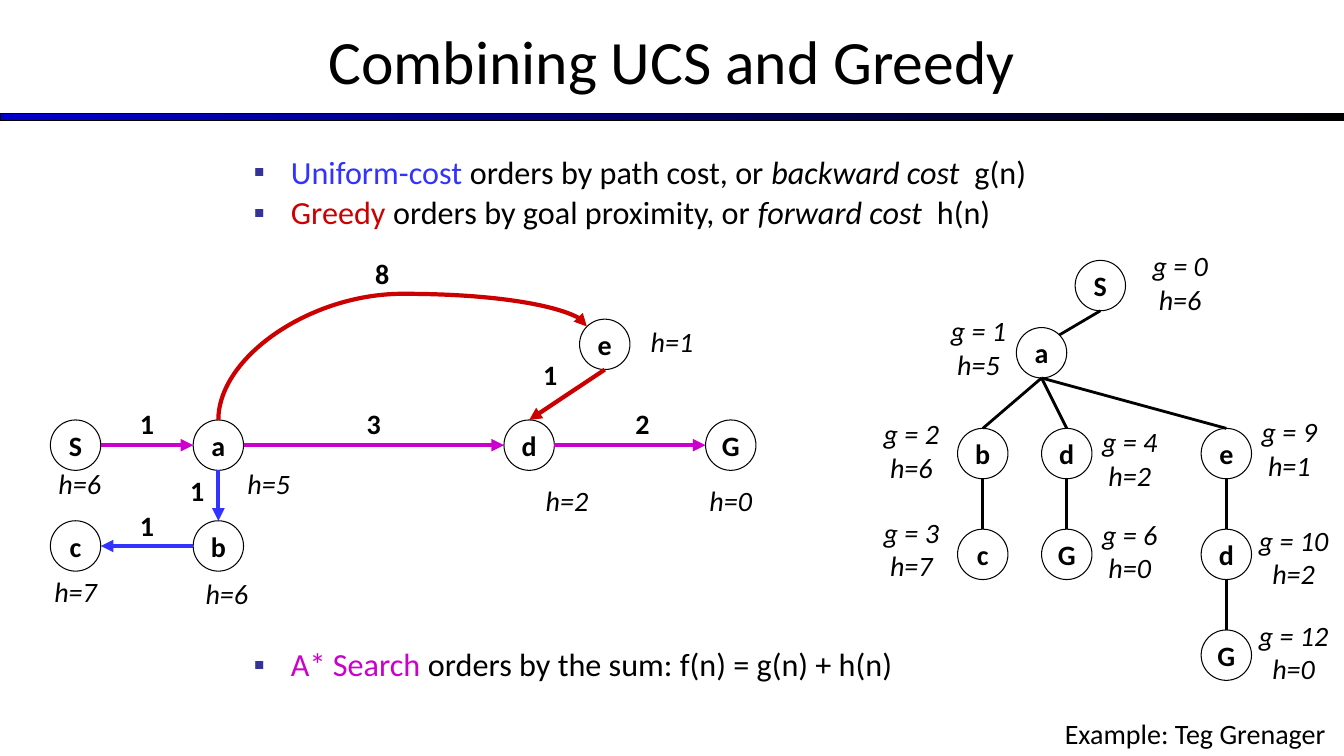
from dataclasses import dataclass

from lxml import etree
from pptx import Presentation
from pptx import util as u
from pptx.dml.color import RGBColor
from pptx.enum import shapes, text
from pptx.oxml.ns import qn

COLS, ROWS = 160, 90
CELL = u.Inches(1) // 12
SIZE, RAD = 6, 3  # node diameter and radius, in cells


@dataclass(frozen=True)
class Theme:
    font: str = "Calibri"
    ink: str = "000000"
    paper: str = "FFFFFF"
    blue: str = "3333FF"
    red: str = "CC0000"
    plum: str = "CC00CC"
    bar: str = "0000CC"
    mark: str = "333399"
    head: int = 44
    body: int = 23
    note: int = 20


T = Theme()

SIDES = {"top": (0, -1), "left": (-1, 0), "low": (0, 1), "right": (1, 0),
         "nw": (-0.71, -0.71), "ne": (0.71, -0.71)}

# Node: key -> (letter, column, row)
GRAPH = {"S": ("S", 6, 50), "a": ("a", 23, 50), "d": ("d", 60, 50),
         "G": ("G", 84, 50), "b": ("b", 23, 62), "c": ("c", 6, 62),
         "e": ("e", 69, 38)}
TREE = {"S": ("S", 128, 31), "a": ("a", 121, 39), "b": ("b", 114, 51),
        "c": ("c", 114, 63), "d": ("d", 124, 51), "G": ("G", 124, 63),
        "e": ("e", 143, 51), "ed": ("d", 143, 63), "eG": ("G", 143, 75)}

# Edge: from node, side, to node, side, colour
ARROWS = [("a", "low", "b", "top", T.blue), ("b", "left", "c", "right", T.blue),
          ("e", "low", "d", "top", T.red), ("S", "right", "a", "left", T.plum),
          ("a", "right", "d", "left", T.plum), ("d", "right", "G", "left", T.plum)]
TWIGS = [("S", "a", "ne"), ("a", "b", "top"), ("a", "d", "top"),
         ("a", "e", "top"), ("b", "c", "top"), ("d", "G", "top"),
         ("e", "ed", "top"), ("ed", "eG", "top")]

# Label: words, column, row, width
COSTS = [("1", 14, 47.75, 7), ("8", 43, 30, 5), ("1", 14, 60, 7),
         ("1", 20, 55.8, 7), ("2", 73, 47.75, 7), ("3", 41, 47.75, 7),
         ("1", 62, 42, 7)]
GUESSES = [("h=6", 4, 55, 11), ("h=5", 26, 55, 12), ("h=2", 63, 57, 9),
           ("h=0", 81, 57, 12), ("h=6", 22, 68, 10), ("h=7", 4, 67.8, 10),
           ("h=1", 75, 38, 10)]
SUMS = [("g = 0 h=6", 135, 29, 11), ("g = 1 h=5", 111, 36.75, 11),
        ("g = 2 h=6", 103, 49, 11), ("g = 3 h=7", 103, 60.75, 11),
        ("g = 4 h=2", 129, 50, 11), ("g = 6 h=0", 129, 61, 11),
        ("g = 9 h=1", 148, 48.75, 11), ("g = 10 h=2", 148, 61.7, 12),
        ("g = 12 h=0", 148, 73, 12)]

# Bullet: space before in points, then runs of words, colour, italic
POINTS = [
    (4, [("Uniform-cost ", T.blue, False),
         ("orders by path cost, or ", T.ink, False),
         ("backward cost  ", T.ink, True), ("g(n)", T.ink, False)]),
    (4, [("Greedy ", T.red, False),
         ("orders by goal proximity, or ", T.ink, False),
         ("forward cost  ", T.ink, True), ("h(n)", T.ink, False)]),
    (298, [("A* Search", T.plum, False),
           (" orders by the sum: f(n) = g(n) + h(n)", T.ink, False)]),
]


def rgb(code):
    return RGBColor.from_string(code)


def cells(*nums):
    return [round(n * CELL) for n in nums]


def place(shape, *box):
    shape.left, shape.top, shape.width, shape.height = cells(*box)


def write(para, words, size, color=T.ink, bold=False, italic=False):
    run = para.add_run()
    run.text = words
    font = run.font
    font.name, font.size, font.bold, font.italic = T.font, u.Pt(size), bold, italic
    font.color.rgb = rgb(color)


def label(slide, words, col, row, wide, align=text.PP_ALIGN.CENTER, **style):
    tall = 9.25 if words.startswith("g") else 5.2
    frame = slide.shapes.add_textbox(*cells(col, row, wide, tall)).text_frame
    frame.word_wrap = True
    para = frame.paragraphs[0]
    para.alignment = align
    write(para, words, T.note, **style)


def node(slide, name, col, row):
    disc = slide.shapes.add_shape(shapes.MSO_SHAPE.OVAL,
                                  *cells(col, row, SIZE, SIZE))
    disc.shadow.inherit = False
    disc.fill.solid()
    disc.fill.fore_color.rgb = rgb(T.paper)
    disc.line.color.rgb = rgb(T.ink)
    disc.line.width = u.Pt(0.75)
    frame = disc.text_frame
    frame.word_wrap = False
    frame.vertical_anchor = text.MSO_ANCHOR.MIDDLE
    para = frame.paragraphs[0]
    para.alignment = text.PP_ALIGN.CENTER
    write(para, name, T.note, bold=True)


def port(spot, side):
    """Point on a node's rim, in cells."""
    dx, dy = SIDES[side]
    return spot[1] + RAD + RAD * dx, spot[2] + RAD + RAD * dy


def edge(slide, start, end, color, width, arrow=False,
         kind=shapes.MSO_CONNECTOR.STRAIGHT):
    link = slide.shapes.add_connector(kind, *cells(*start, *end))
    link.line.color.rgb = rgb(color)
    link.line.width = u.Pt(width)
    if arrow:
        etree.SubElement(link.line._get_or_add_ln(), qn("a:tailEnd"),
                         type="triangle")
    etree.SubElement(link._element.spPr, qn("a:effectLst"))
    return link


def arc(slide, start, end, color, width, bend):
    """Curved arrow that leaves upwards; bend is the share of its rise."""
    link = edge(slide, start, end, color, width, True, shapes.MSO_CONNECTOR.CURVE)
    run, rise = end[0] - start[0], start[1] - end[1]
    midx, midy = (start[0] + end[0]) / 2, (start[1] + end[1]) / 2
    place(link, midx - rise / 2, midy - run / 2, rise, run)
    props = link._element.spPr
    frame = props.find(qn("a:xfrm"))
    frame.attrib.pop("flipV", None)
    frame.set("rot", str(270 * 60000))
    geom = props.find(qn("a:prstGeom"))
    guides = geom.find(qn("a:avLst"))
    if guides is None:
        guides = etree.SubElement(geom, qn("a:avLst"))
    etree.SubElement(guides, qn("a:gd"), name="adj1",
                     fmla=f"val {round(bend * 100000)}")


def banner(slide):
    bar = slide.shapes.add_shape(shapes.MSO_SHAPE.RECTANGLE,
                                 *cells(0, 13.5, COLS, 0.9))
    bar.shadow.inherit = False
    bar.fill.gradient()
    bar.fill.gradient_angle = 0
    for stop, color in zip(bar.fill.gradient_stops, (T.bar, T.ink)):
        stop.color.rgb = rgb(color)
    bar.line.color.rgb = rgb(T.ink)
    bar.line.width = u.Pt(0.75)


def title(slide, words):
    head = slide.shapes.title
    place(head, 0, -0.4, COLS, 15)
    frame = head.text_frame
    frame.vertical_anchor = text.MSO_ANCHOR.MIDDLE
    frame.paragraphs[0].alignment = text.PP_ALIGN.CENTER
    write(frame.paragraphs[0], words, T.head)


def bullets(slide):
    body = slide.placeholders[1]
    place(body, 29, 18, 108, 66)
    frame = body.text_frame
    frame.auto_size = text.MSO_AUTO_SIZE.NONE
    for i, (gap, runs) in enumerate(POINTS):
        para = frame.add_paragraph() if i else frame.paragraphs[0]
        para.line_spacing = 0.9
        para.space_before = u.Pt(gap)
        props = para._p.get_or_add_pPr()
        props.set("marL", str(u.Inches(0.37)))
        props.set("indent", str(-u.Inches(0.37)))
        tint = etree.SubElement(props, qn("a:buClr"))
        etree.SubElement(tint, qn("a:srgbClr"), val=T.mark)
        etree.SubElement(props, qn("a:buChar"), char="▪")
        for words, color, italic in runs:
            write(para, words, T.body, color, italic=italic)


def main():
    deck = Presentation()
    deck.slide_width, deck.slide_height = cells(COLS, ROWS)
    slide = deck.slides.add_slide(deck.slide_layouts[1])
    banner(slide)
    title(slide, "Combining UCS and Greedy")
    bullets(slide)
    for spot in [*GRAPH.values(), *TREE.values()]:
        node(slide, *spot)
    for src, out, dst, into, color in ARROWS:
        edge(slide, port(GRAPH[src], out), port(GRAPH[dst], into), color, 3, True)
    arc(slide, port(GRAPH["a"], "top"), port(GRAPH["e"], "nw"), T.red, 3, 1.35)
    for src, dst, into in TWIGS:
        edge(slide, port(TREE[src], "low"), port(TREE[dst], into), T.ink, 2)
    for cost in COSTS:
        label(slide, *cost, bold=True)
    for guess in GUESSES + SUMS:
        label(slide, *guess, italic=True)
    label(slide, "Example: Teg Grenager", 122, 84.75, 37, text.PP_ALIGN.RIGHT)
    deck.save("out.pptx")


if __name__ == "__main__":
    main()
